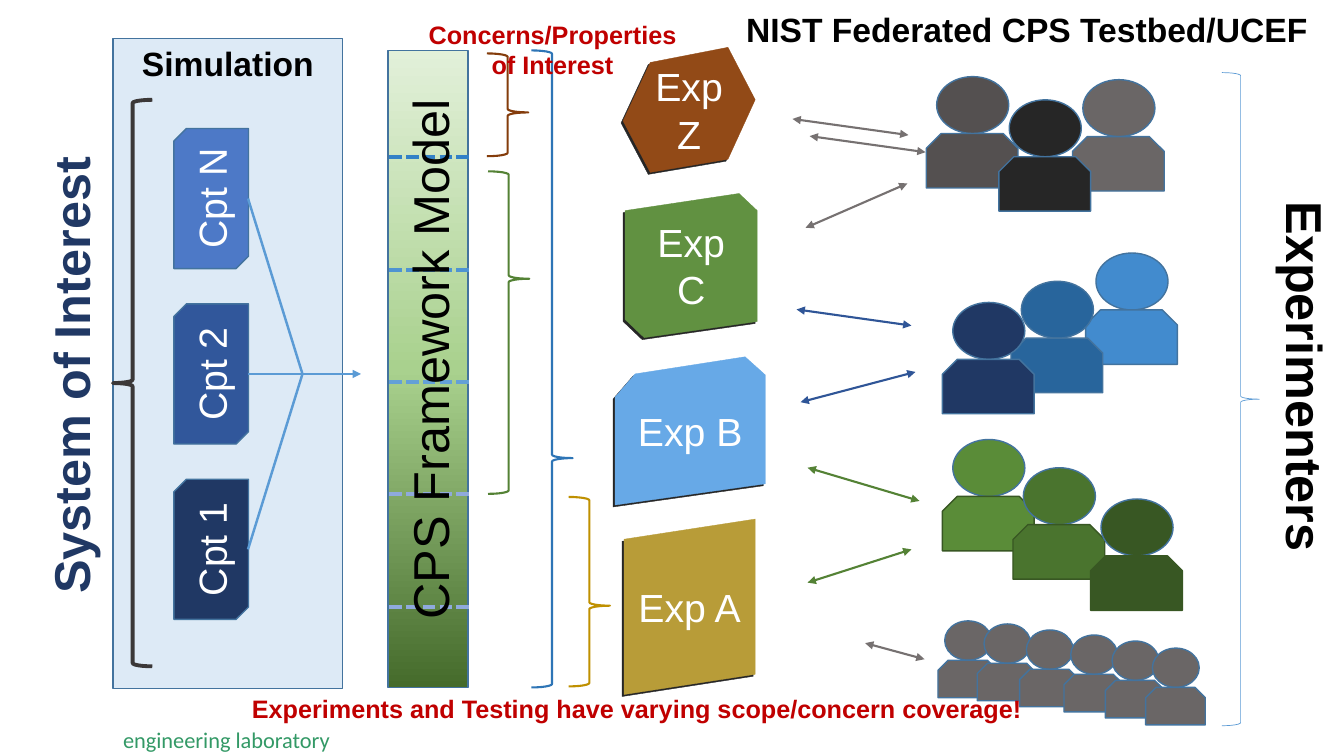
import copy

import pptx
import pptx.dml.color
import pptx.enum.dml
import pptx.enum.shapes
import pptx.enum.text
import pptx.oxml
import pptx.oxml.ns
import pptx.util

RGB = pptx.dml.color.RGBColor
SHAPE = pptx.enum.shapes.MSO_SHAPE
ALIGN = pptx.enum.text.PP_ALIGN
ANCHOR = pptx.enum.text.MSO_ANCHOR

BLACK, WHITE = RGB(0, 0, 0), RGB(255, 255, 255)
OUTLINE, SKY, PALE = RGB(0x43, 0x73, 0x9E), RGB(0x5B, 0x9B, 0xD5), RGB(0xDD, 0xEA, 0xF6)
NAVY, ROYAL, BLUE = RGB(0x20, 0x38, 0x64), RGB(0x31, 0x57, 0x9B), RGB(0x4D, 0x79, 0xC7)
ARROW_BLUE, BRACE_BLUE = RGB(0x2F, 0x55, 0x97), RGB(0x2E, 0x75, 0xB6)
STEEL, AZURE, LIGHT_BLUE = RGB(0x28, 0x65, 0x9C), RGB(0x42, 0x8B, 0xCE), RGB(0x67, 0xA9, 0xE7)
FOREST, MOSS, LEAF = RGB(0x38, 0x57, 0x23), RGB(0x4A, 0x74, 0x2E), RGB(0x5A, 0x8C, 0x38)
GREEN, FACE_GREEN, FOOTER_GREEN = RGB(0x54, 0x82, 0x35), RGB(0x61, 0x91, 0x41), RGB(0x33, 0x99, 0x66)
BROWN, FACE_BROWN = RGB(0x84, 0x3C, 0x0B), RGB(0x92, 0x4A, 0x17)
GOLD, FACE_GOLD, RED = RGB(0xBF, 0x90, 0), RGB(0xB8, 0x9C, 0x38), RGB(0xC0, 0, 0)
CHARCOAL, INK, SLATE = RGB(0x3B, 0x38, 0x38), RGB(0x26, 0x26, 0x26), RGB(0x54, 0x50, 0x50)
GREY, ARROW_GREY = RGB(0x6A, 0x66, 0x66), RGB(0x76, 0x71, 0x71)
MODEL_STOPS = (RGB(0xE2, 0xF0, 0xD9), RGB(0xA9, 0xD1, 0x8E), RGB(0x45, 0x6B, 0x2B))
DASHES = (RGB(0x33, 0x81, 0xC7), RGB(0x4E, 0x93, 0xD2), RGB(0x63, 0xA0, 0xD7),
          RGB(0x8F, 0xAA, 0xDC), RGB(0x8F, 0xAA, 0xDC))

COLUMNS, ROWS = 133.3, 75


class Diagram:
    """Draws on one slide, with lengths in columns and rows of its grid."""

    def __init__(self, deck):
        self.font = "Arial"
        self.cell_width = deck.slide_width / COLUMNS
        self.cell_height = deck.slide_height / ROWS
        self.slide = deck.slides.add_slide(deck.slide_layouts[5])
        self.shapes = self.slide.shapes

    def across(self, columns):
        return round(columns * self.cell_width)

    def down(self, rows):
        return round(rows * self.cell_height)

    def area(self, left, top, width, height):
        return self.across(left), self.down(top), self.across(width), self.down(height)

    def set_text(self, box, text, size, color, bold=False, align=ALIGN.CENTER,
                 anchor=ANCHOR.MIDDLE, font=None, wrap=True):
        frame = box.text_frame
        frame.text = text
        frame.word_wrap = wrap
        frame.vertical_anchor = anchor
        for para in frame.paragraphs:
            para.alignment = align
            for span in para.runs:
                span.font.name = font or self.font
                span.font.size = pptx.util.Pt(size)
                span.font.bold = bold
                span.font.color.rgb = color

    def title(self, area, text, size):
        box = self.shapes.title
        box.left, box.top, box.width, box.height = self.area(*area)
        box.text_frame.auto_size = pptx.enum.text.MSO_AUTO_SIZE.NONE
        self.set_text(box, text, size, BLACK, bold=True, align=ALIGN.LEFT, anchor=ANCHOR.TOP, wrap=False)

    def label(self, area, text, size, color, rotation=0, **style):
        box = self.shapes.add_textbox(*self.area(*area))
        box.rotation = rotation
        self.set_text(box, text, size, color, anchor=ANCHOR.TOP, wrap=False, **style)
        return box

    def paint(self, shape, fill, line, weight=1.0):
        shape.shadow.inherit = False
        if fill is None:
            shape.fill.background()
        else:
            shape.fill.solid()
            shape.fill.fore_color.rgb = fill
        shape.line.color.rgb = line
        shape.line.width = pptx.util.Pt(weight)

    def shape(self, kind, area, fill, line=OUTLINE, weight=1.0, adjust=(), parent=None):
        shape = (parent or self.shapes).add_shape(kind, *self.area(*area))
        self.paint(shape, fill, line, weight)
        for index, value in enumerate(adjust):
            shape.adjustments[index] = value
        return shape

    def brace(self, area, color, weight, point=0.5, kind=SHAPE.RIGHT_BRACE):
        self.shape(kind, area, None, color, weight, (0.083, point))

    def component(self, top, text, fill):
        box = self.shape(SHAPE.SNIP_2_DIAG_RECTANGLE, (14, top, 13.9, 7.4), fill)
        box.rotation = 270
        self.set_text(box, text, 28, WHITE)

    def model_bar(self, area):
        bar = self.shape(SHAPE.RECTANGLE, area, WHITE)
        bar.fill.gradient()
        bar.fill.gradient_angle = 270
        stop_list = next(bar._element.iter(pptx.oxml.ns.qn("a:gsLst")))
        stop_list.insert(1, copy.deepcopy(stop_list[0]))
        for index, (stop, color) in enumerate(zip(bar.fill.gradient_stops, MODEL_STOPS)):
            stop.color.rgb = color
            stop.position = index / 2

    def experiment(self, corners, text, fill, inset):
        """A slanted panel with a dark edge showing at its lower left."""
        for shift, color in ((0.2, INK), (0, fill)):
            points = [(self.across(x - shift), self.down(y + shift)) for x, y in corners]
            builder = self.shapes.build_freeform(*points[0], scale=1.0)
            builder.add_line_segments(points[1:], close=True)
            panel = builder.convert_to_shape()
            self.paint(panel, color, color, 0.25)
        panel.text_frame.margin_left = panel.text_frame.margin_right = self.across(inset)
        self.set_text(panel, text, 28, WHITE)

    def person(self, left, top, fill, line=OUTLINE, wide=1.0, high=1.0):
        """A head at left, top with shoulders below it."""
        group = self.shapes.add_group_shape().shapes
        self.shape(SHAPE.OVAL, (left, top, 7.15 * wide, 5.65 * high), fill, parent=group)
        self.shape(SHAPE.SNIP_2_SAME_RECTANGLE,
                   (left - 1.03 * wide, top + 5.65 * high, 9.1 * wide, 5.4 * high),
                   fill, line, adjust=(0.274, 0), parent=group)

    def line(self, start, end, color, weight, dash=None, ends=()):
        """A straight line; ends names headEnd and tailEnd where it has arrowheads."""
        line = self.shapes.add_connector(
            pptx.enum.shapes.MSO_CONNECTOR.STRAIGHT,
            self.across(start[0]), self.down(start[1]), self.across(end[0]), self.down(end[1]))
        line.line.color.rgb = color
        line.line.width = pptx.util.Pt(weight)
        if dash:
            line.line.dash_style = dash
        stroke = line.line._get_or_add_ln()
        for end_name in ends:
            stroke.append(pptx.oxml.parse_xml(
                f'<a:{end_name} {pptx.oxml.ns.nsdecls("a")} type="triangle"/>'))
        line._element.spPr.append(pptx.oxml.parse_xml(
            f'<a:effectLst {pptx.oxml.ns.nsdecls("a")}/>'))


def draw_system(diagram):
    panel = diagram.shape(SHAPE.RECTANGLE, (11.2, 3.8, 22.8, 64.5), PALE)
    diagram.set_text(panel, "Simulation", 24, BLACK, bold=True, anchor=ANCHOR.TOP)
    diagram.label((-15.9, 33.7, 45.8, 7.1), "System of Interest", 36, NAVY, 270, bold=True)
    diagram.brace((11.2, 9.9, 3.9, 56.2), CHARCOAL, 2.75, kind=SHAPE.LEFT_BRACE)
    junction = (30, 37.1)
    for index, (text, fill) in enumerate((("Cpt N", BLUE), ("Cpt 2", ROYAL), ("Cpt 1", NAVY))):
        top = 16 + 17.4 * index
        diagram.component(top, text, fill)
        diagram.line((24.6, top + 3.7), junction, SKY, 1.75)
    diagram.line(junction, (35.8, 37.1), SKY, 1.75, ends=["tailEnd"])


def draw_model(diagram):
    diagram.model_bar((38.5, 5, 7.9, 63.2))
    for index, color in enumerate(DASHES):
        height = 15.6 + 11.15 * index
        diagram.line((38.6, height), (46.5, height), color, 3, pptx.enum.dml.MSO_LINE.SQUARE_DOT)
    diagram.label((15.5, 32.1, 54.2, 7.1), "CPS Framework Model", 36, BLACK, 270)
    for area, color, point in (
            ((48.3, 5.3, 4.1, 10.2), BROWN, 0.574), ((48.4, 17, 4.1, 32), GREEN, 0.333),
            ((52.7, 5, 4.1, 63.2), BRACE_BLUE, 0.64), ((56.4, 49.3, 4.1, 18.8), GOLD, 0.574)):
        diagram.brace(area, color, 1.5, point)


def draw_experiments(diagram):
    diagram.experiment([(61.9, 53.5), (74.9, 51.5), (74.9, 66.9), (61.9, 68.9)], "Exp A", FACE_GOLD, 1)
    diagram.experiment([(61, 39.4), (63, 37.1), (73.9, 35.4), (75.9, 37.2), (75.9, 48), (61, 50.1)],
                       "Exp B", LIGHT_BLUE, 1)
    diagram.experiment([(62, 20.9), (73.3, 19.2), (75.1, 20.9), (75.1, 31.9), (63.9, 33.5), (62, 31.7)],
                       "Exp C", FACE_GREEN, 3)
    diagram.experiment([(61.8, 12), (64.5, 6.2), (72.2, 4.7), (74.9, 9.9), (72.2, 15.8), (64.5, 17.1)],
                       "Exp Z", FACE_BROWN, 3)
    for start, end, color in (
            ((78.6, 11.8), (90.1, 13.4), ARROW_GREY), ((80.3, 13.5), (91.8, 15.1), ARROW_GREY),
            ((79.9, 22.6), (90, 18.2), ARROW_GREY), ((79, 30.7), (90.4, 32.3), ARROW_BLUE),
            ((79.4, 39.9), (90.8, 36.9), ARROW_BLUE), ((80.1, 46.4), (91.2, 49.7), GREEN),
            ((80.1, 57.8), (90.4, 54.5), GREEN), ((85.8, 63.8), (91.7, 65.4), ARROW_GREY)):
        diagram.line(start, end, color, 1.5, ends=["headEnd", "tailEnd"])


def draw_experimenters(diagram):
    for left, top, fill in ((107.4, 7.9, GREY), (92.9, 7.6, SLATE), (100.1, 9.9, INK),
                            (108.7, 25.1, AZURE), (101.3, 27.9, STEEL), (94.5, 30, NAVY)):
        diagram.person(left, top, fill)
    for left, top, fill in ((94.5, 43.6, LEAF), (101.5, 46.4, MOSS), (109.2, 49.5, FOREST)):
        diagram.person(left, top, fill, FOREST)
    for left, top in ((93.7, 61.6), (97.6, 61.9), (101.8, 62.5), (106.2, 63), (110.3, 63.6), (114.3, 64.3)):
        diagram.person(left, top, GREY, wide=0.65, high=0.69)
    diagram.brace((121.2, 7.2, 3.7, 64.8), SKY, 0.5)
    diagram.label((101.3, 33.8, 56.4, 7.1), "Experimenters", 36, BLACK, 90, bold=True)


def main():
    deck = pptx.Presentation()
    deck.slide_width = pptx.util.Inches(13.33)
    deck.slide_height = pptx.util.Inches(7.5)
    diagram = Diagram(deck)
    diagram.title((73, 0.4, 59.2, 5), "NIST Federated CPS Testbed/UCEF", 24)
    draw_system(diagram)
    draw_model(diagram)
    draw_experiments(diagram)
    draw_experimenters(diagram)
    diagram.label((41.4, 1.4, 26.8, 7.1), "Concerns/Properties\nof Interest", 18, RED, bold=True)
    diagram.label((24, 68.3, 79.1, 4), "Experiments and Testing have varying scope/concern coverage!",
                  18, RED, bold=True, align=ALIGN.LEFT)
    footer = diagram.label((12.2, 72, 20.8, 2.7), "engineering laboratory", 16, FOOTER_GREEN,
                           font="Calibri", align=ALIGN.LEFT)
    frame = footer.text_frame
    frame.margin_left = frame.margin_right = frame.margin_top = frame.margin_bottom = 0
    deck.save("out.pptx")


if __name__ == "__main__":
    main()
